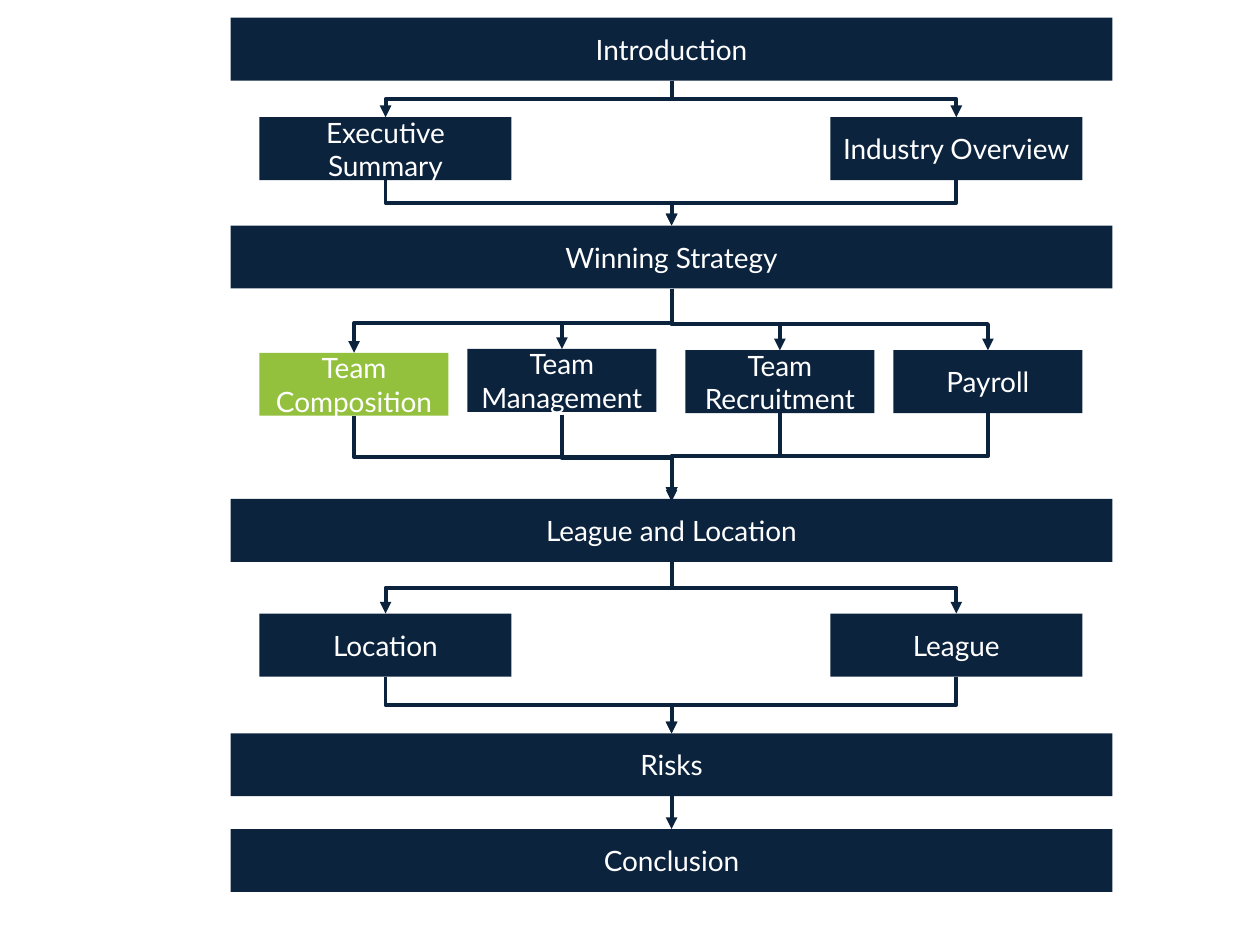
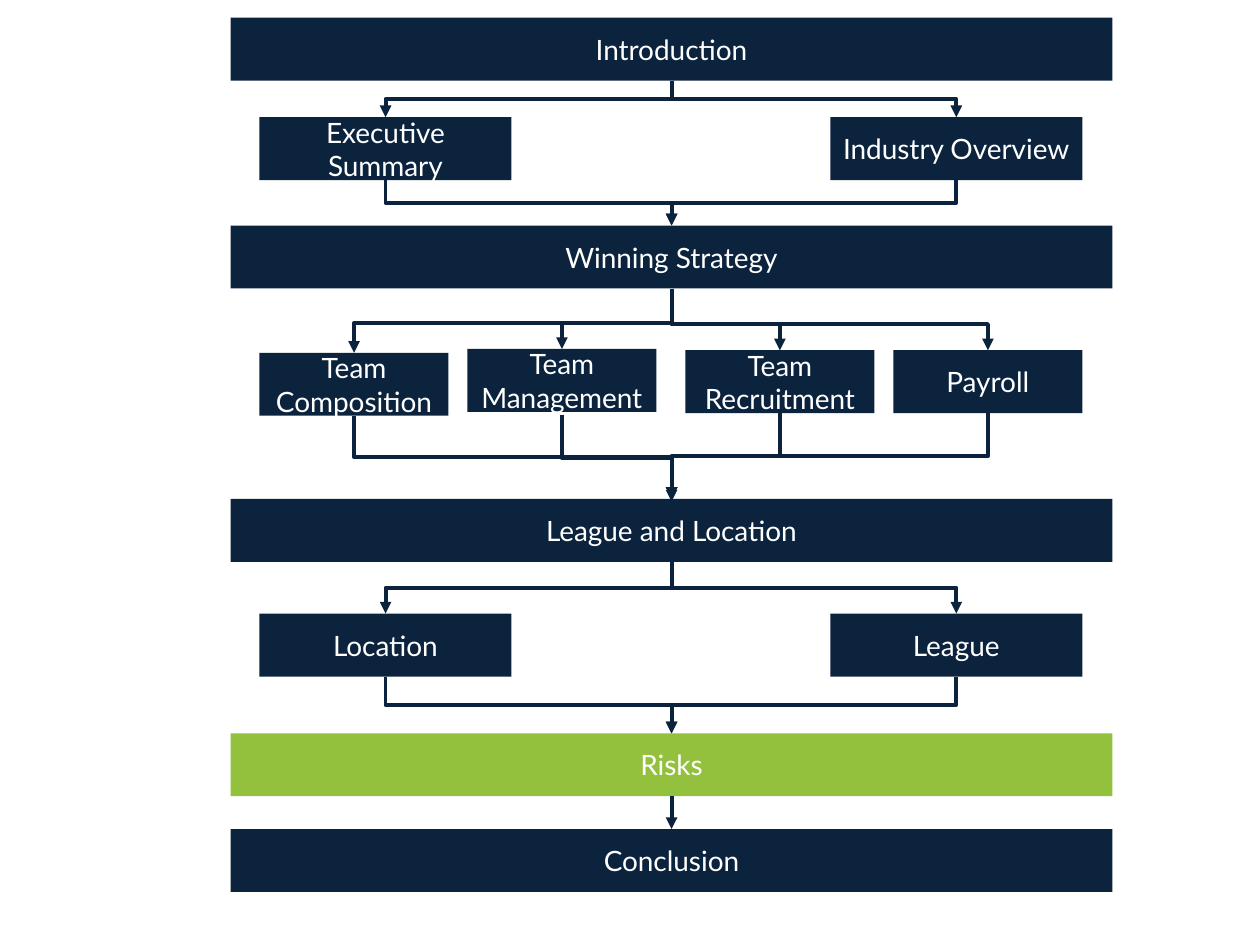
from lxml.etree import SubElement
from pptx import Presentation
from pptx.dml.color import RGBColor
from pptx.enum.shapes import MSO_CONNECTOR, MSO_SHAPE
from pptx.enum.text import MSO_ANCHOR, PP_ALIGN
from pptx.oxml.ns import qn
from pptx.util import Pt

PX = 9144  # 100 px to the inch
COLORS = {"navy": "0C233E", "current": "93C13E", "text": "FFFFFF"}
FONT = {"name": "Lato", "size": Pt(16)}

BOX_H = 50
BAR_LEFT, BAR_W = 183, 700
CENTER = BAR_LEFT + BAR_W // 2
BARS = {
    "Introduction": 14,
    "Winning Strategy": 179,
    "League and Location": 396,
    "Risks": 582,
    "Conclusion": 658,
}
# Each group sits between two bars: box width, then
# label, left, top, bend of the incoming arrow (%), shift of the outgoing arrow
GROUPS = [
    ("Introduction", "Winning Strategy", 200, [
        ("Executive Summary", 206, 93, 50, 0),
        ("Industry Overview", 659, 93, 50, 0),
    ]),
    ("Winning Strategy", "League and Location", 150, [
        ("Team Composition", 206, 280, 53.6, 0),
        ("Team Management", 371, 277, 57.6, 2),
        ("Team Recruitment", 544, 278, 57.6, 0),
        ("Payroll", 709, 278, 57.6, 0),
    ]),
    ("League and Location", "Risks", 200, [
        ("Location", 206, 487, 50, 0),
        ("League", 659, 487, 50, 0),
    ]),
]


def px(n):
    return round(n * PX)


def rgb(name):
    return RGBColor.from_string(COLORS[name])


class Flowchart:
    """Draws one agenda slide with the current section highlighted."""

    def __init__(self, prs, current):
        self.s = prs.slides.add_slide(prs.slide_layouts[6])
        self.current = current

    def box(self, label, left, top, width):
        sp = self.s.shapes.add_shape(
            MSO_SHAPE.RECTANGLE, px(left), px(top), px(width), px(BOX_H))
        sp.shadow.inherit = False
        sp.fill.solid()
        sp.fill.fore_color.rgb = rgb("current" if label == self.current else "navy")
        sp.line.fill.background()
        tf = sp.text_frame
        tf.word_wrap = True
        tf.vertical_anchor = MSO_ANCHOR.MIDDLE
        p = tf.paragraphs[0]
        p.alignment = PP_ALIGN.CENTER
        r = p.add_run()
        r.text = label
        for key, value in FONT.items():
            setattr(r.font, key, value)
        r.font.color.rgb = rgb("text")

    def arrow(self, x1, y1, x2, y2, bend=50):
        """Arrow going down, with a level middle part at bend % of its height."""
        if x1 == x2:
            cxn = self.s.shapes.add_connector(
                MSO_CONNECTOR.STRAIGHT, px(x1), px(y1), px(x2), px(y2))
        else:
            cxn = self.elbow(x1, y1, x2, y2, bend)
        cxn.line.color.rgb = rgb("navy")
        cxn.line.width = Pt(2.25)
        SubElement(cxn.line._get_or_add_ln(), qn("a:tailEnd"), type="triangle")
        SubElement(cxn._element.spPr, qn("a:effectLst"))

    def elbow(self, x1, y1, x2, y2, bend):
        """Elbow leaving and arriving vertically: a sideways one, turned."""
        dx, dy = abs(x2 - x1), y2 - y1
        left, top = (x1 + x2 - dy) / 2, (y1 + y2 - dx) / 2
        ends, turn = (left, left + dy), 90
        if x2 > x1:
            ends, turn = ends[::-1], 270
        cxn = self.s.shapes.add_connector(
            MSO_CONNECTOR.ELBOW, px(ends[0]), px(top), px(ends[1]), px(top + dx))
        sp_pr = cxn._element.spPr
        sp_pr.find(qn("a:xfrm")).set("rot", str(turn * 60000))
        guides = sp_pr.find(qn("a:prstGeom")).find(qn("a:avLst"))
        SubElement(guides, qn("a:gd"), name="adj1", fmla=f"val {round(bend * 1000)}")
        return cxn

    def draw(self):
        for label, top in BARS.items():
            self.box(label, BAR_LEFT, top, BAR_W)
        for above, below, width, boxes in GROUPS:
            for label, left, top, bend, shift in boxes:
                middle = left + width // 2
                self.box(label, left, top, width)
                self.arrow(CENTER, BARS[above] + BOX_H, middle, top, bend)
                self.arrow(middle, top + BOX_H + shift, CENTER, BARS[below] + shift)
        self.arrow(CENTER, BARS["Risks"] + BOX_H, CENTER, BARS["Conclusion"])


def main():
    prs = Presentation()
    prs.slide_width, prs.slide_height = px(1000), px(750)
    for current in ("Team Composition", "Risks"):
        Flowchart(prs, current).draw()
    prs.save("out.pptx")


if __name__ == "__main__":
    main()
